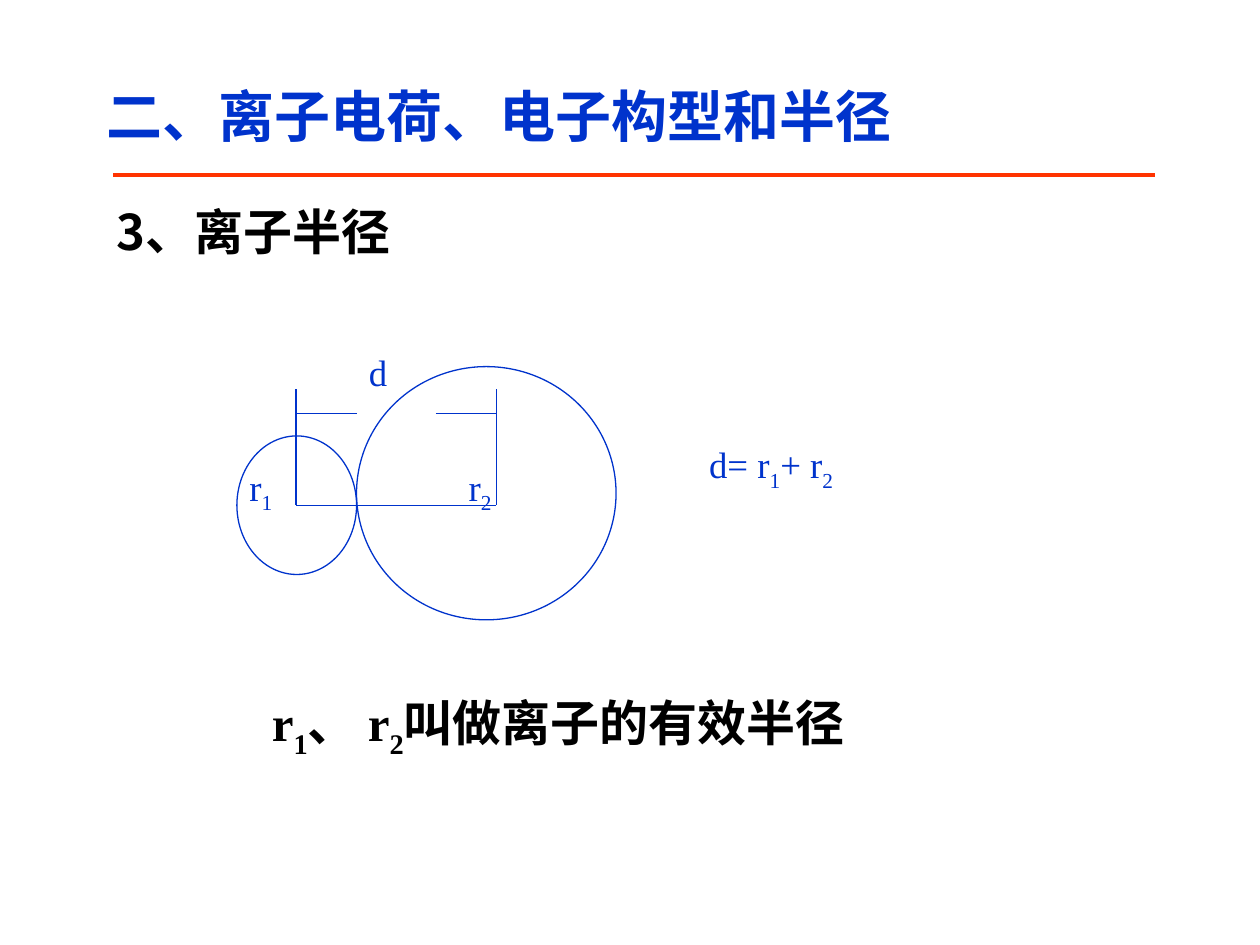
from lxml.etree import SubElement
from pptx import Presentation
from pptx.dml.color import RGBColor
from pptx.enum.shapes import MSO_CONNECTOR as Connector, MSO_SHAPE as Shape
from pptx.enum.text import MSO_AUTO_SIZE as AutoSize
from pptx.oxml.ns import qn
from pptx.util import Inches, Pt

COLORS = {"blue": "0033CC", "red": "FF3300", "black": "000000"}
CHINESE, LATIN = "Noto Sans CJK SC", "Times New Roman"

HEADINGS = [
    ("3、离子半径", (0.83, 1.55, 4.33, 0.57), dict(size=28, color="black", bold=True, font=CHINESE)),
    ("r_1、 r_2叫做离子的有效半径", (2.06, 5.45, 5.65, 0.57), dict(size=28, color="black", bold=True)),
    ("二、离子电荷、电子构型和半径", (0.75, 0.6, 8.27, 0.63), dict(size=32, bold=True, font=CHINESE)),
]
LABELS = [
    ("d", (2.83, 2.73, 0.79, 0.45)),
    ("r_1", (1.88, 3.64, 0.79, 0.45)),
    ("r_2", (3.62, 3.64, 0.79, 0.45)),
    ("d= r_1+ r_2", (5.53, 3.46, 2.86, 0.45)),
]
IONS = [(1.88, 3.46, 0.95, 1.1), (2.83, 2.91, 2.06, 2.01)]
LEFT_CENTER, RIGHT_CENTER = 2.35, 3.94
AXIS, MARK_TOP, ARM, ARM_LENGTH = 4.01, 3.09, 3.28, 0.48
DISTANCE_LINES = [
    (LEFT_CENTER, AXIS, RIGHT_CENTER, AXIS),
    (LEFT_CENTER, MARK_TOP, LEFT_CENTER, AXIS),
    (RIGHT_CENTER, MARK_TOP, RIGHT_CENTER, AXIS),
    (LEFT_CENTER, ARM, LEFT_CENTER + ARM_LENGTH, ARM),
    (RIGHT_CENTER - ARM_LENGTH, ARM, RIGHT_CENTER, ARM),
]


def rgb(color):
    return RGBColor.from_string(COLORS[color])


def add_text(slide, text, box, size=21, color="blue", bold=False, font=LATIN):
    """Add a text box in which the character after an underscore is a subscript."""
    frame = slide.shapes.add_textbox(*map(Inches, box)).text_frame
    frame.word_wrap = True
    frame.auto_size = AutoSize.SHAPE_TO_FIT_TEXT
    paragraph = frame.paragraphs[0]
    first, *others = text.split("_")
    pieces = [(first, False)]
    for part in others:
        pieces += [(part[0], True), (part[1:], False)]
    for piece, is_subscript in pieces:
        if not piece:
            continue
        run = paragraph.add_run()
        run.text = piece
        run.font.size = Pt(size)
        run.font.bold = bold
        run.font.name = font
        run.font.color.rgb = rgb(color)
        properties = run._r.get_or_add_rPr()
        SubElement(properties, qn("a:ea")).set("typeface", CHINESE)
        if is_subscript:
            properties.set("baseline", "-25000")


def add_line(slide, ends, color="blue", width=0.75):
    line = slide.shapes.add_connector(Connector.STRAIGHT, *map(Inches, ends))
    line.line.color.rgb = rgb(color)
    line.line.width = Pt(width)
    SubElement(line._element.spPr, qn("a:effectLst"))


def add_ion(slide, box):
    ion = slide.shapes.add_shape(Shape.OVAL, *map(Inches, box))
    ion.shadow.inherit = False
    ion.fill.background()
    ion.line.color.rgb = rgb("blue")
    ion.line.width = Pt(0.75)


def main():
    presentation = Presentation()
    presentation.slide_width, presentation.slide_height = Inches(10), Inches(7.5)
    slide = presentation.slides.add_slide(presentation.slide_layouts[6])
    for text, box, style in HEADINGS:
        add_text(slide, text, box, **style)
    add_line(slide, (0.9, 1.39, 9.17, 1.39), color="red", width=2.5)
    for box in IONS:
        add_ion(slide, box)
    for ends in DISTANCE_LINES:
        add_line(slide, ends)
    for text, box in LABELS:
        add_text(slide, text, box)
    presentation.save("out.pptx")


if __name__ == "__main__":
    main()
